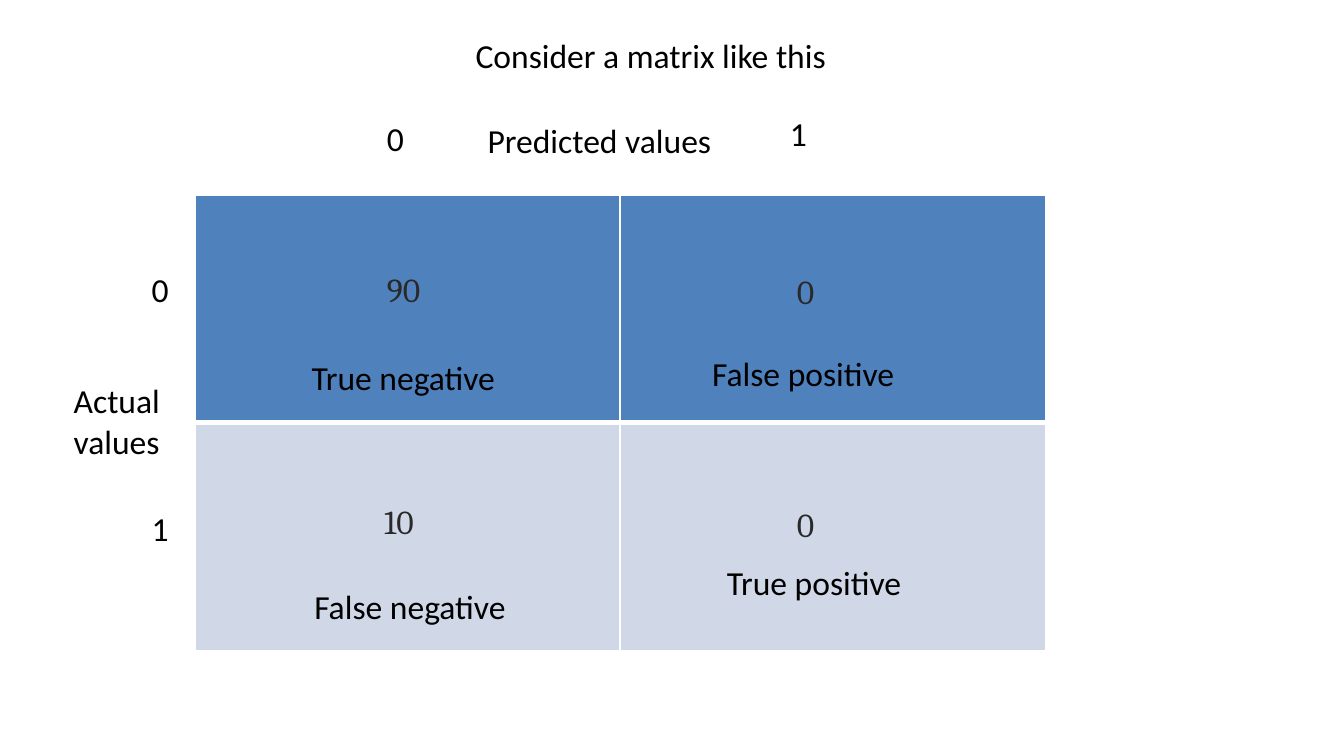
"""Build a slide that explains a two-by-two confusion matrix."""

from dataclasses import dataclass

import lxml.etree
import pptx
import pptx.dml.color
import pptx.enum.text
import pptx.oxml.ns
import pptx.slide
import pptx.table
import pptx.util


@dataclass(frozen=True)
class Theme:
    label_font: str = "Calibri"
    count_font: str = "Cambria"
    text_size: int = 18
    label_color: str = "000000"
    count_color: str = "292929"
    row_fills: tuple[str, ...] = ("4F81BD", "D0D8E8")
    border_color: str = "FFFFFF"
    thin_border: int = 1
    divider: int = 3


@dataclass(frozen=True)
class Label:
    text: str
    left: float
    top: float
    width: float
    height: float = 0.4
    is_count: bool = False


THEME = Theme()
DIGIT_WIDTH = 0.33
OUTCOME_WIDTH = 2.2
COUNT_WIDTH = 0.58

LABELS = (
    Label("Actual values", 0.45, 2.78, 1.17, 0.71),
    Label("Predicted values", 3.53, 0.84, 2.33),
    Label("0", 1.03, 1.95, DIGIT_WIDTH),
    Label("1", 5.78, 0.79, DIGIT_WIDTH),
    Label("0", 2.78, 0.83, DIGIT_WIDTH),
    Label("1", 1.03, 3.73, DIGIT_WIDTH),
    Label("False positive", 5.2, 2.58, OUTCOME_WIDTH),
    Label("True positive", 5.31, 4.13, OUTCOME_WIDTH),
    Label("True negative", 2.22, 2.61, OUTCOME_WIDTH),
    Label("False negative", 2.24, 4.31, OUTCOME_WIDTH),
    Label("90", 2.78, 1.95, 1, is_count=True),
    Label("0", 5.83, 1.97, COUNT_WIDTH, is_count=True),
    Label("10", 2.76, 3.68, COUNT_WIDTH, is_count=True),
    Label("0", 5.83, 3.7, COUNT_WIDTH, is_count=True),
    Label("Consider a matrix like this", 3.44, 0.21, 4.67),
)


def add_border(cell: pptx.table._Cell, side: str, points: int) -> None:
    """Give one side of a cell a solid border."""
    properties = cell._tc.get_or_add_tcPr()
    line = lxml.etree.SubElement(properties, pptx.oxml.ns.qn(f"a:ln{side}"))
    line.set("w", str(pptx.util.Pt(points)))
    fill = lxml.etree.SubElement(line, pptx.oxml.ns.qn("a:solidFill"))
    color = lxml.etree.SubElement(fill, pptx.oxml.ns.qn("a:srgbClr"))
    color.set("val", THEME.border_color)


def add_matrix(slide: pptx.slide.Slide) -> None:
    """Draw the table, with one fill per row and a thick divider between rows."""
    frame = slide.shapes.add_table(
        2, 2, pptx.util.Inches(1.45), pptx.util.Inches(1.45),
        pptx.util.Inches(6.33), pptx.util.Inches(3.39),
    )
    for row_index, row in enumerate(frame.table.rows):
        divider_side = "B" if row_index == 0 else "T"
        for cell in row.cells:
            for side in "LRTB":
                points = THEME.divider if side == divider_side else THEME.thin_border
                add_border(cell, side, points)
            cell.fill.solid()
            cell.fill.fore_color.rgb = pptx.dml.color.RGBColor.from_string(
                THEME.row_fills[row_index]
            )


def add_label(slide: pptx.slide.Slide, label: Label) -> None:
    """Draw one wrapped text box that grows with its text."""
    shape = slide.shapes.add_textbox(
        pptx.util.Inches(label.left), pptx.util.Inches(label.top),
        pptx.util.Inches(label.width), pptx.util.Inches(label.height),
    )
    text_frame = shape.text_frame
    text_frame.word_wrap = True
    text_frame.auto_size = pptx.enum.text.MSO_AUTO_SIZE.SHAPE_TO_FIT_TEXT
    run = text_frame.paragraphs[0].add_run()
    run.text = label.text
    run.font.name = THEME.count_font if label.is_count else THEME.label_font
    run.font.size = pptx.util.Pt(THEME.text_size)
    run.font.color.rgb = pptx.dml.color.RGBColor.from_string(
        THEME.count_color if label.is_count else THEME.label_color
    )


def main() -> None:
    """Create the presentation in 16:9 format and save it."""
    presentation = pptx.Presentation()
    presentation.slide_width = pptx.util.Inches(10)
    presentation.slide_height = pptx.util.Inches(10 * 9 / 16)
    slide = presentation.slides.add_slide(presentation.slide_layouts[6])
    add_matrix(slide)
    for label in LABELS:
        add_label(slide, label)
    presentation.save("out.pptx")


if __name__ == "__main__":
    main()
